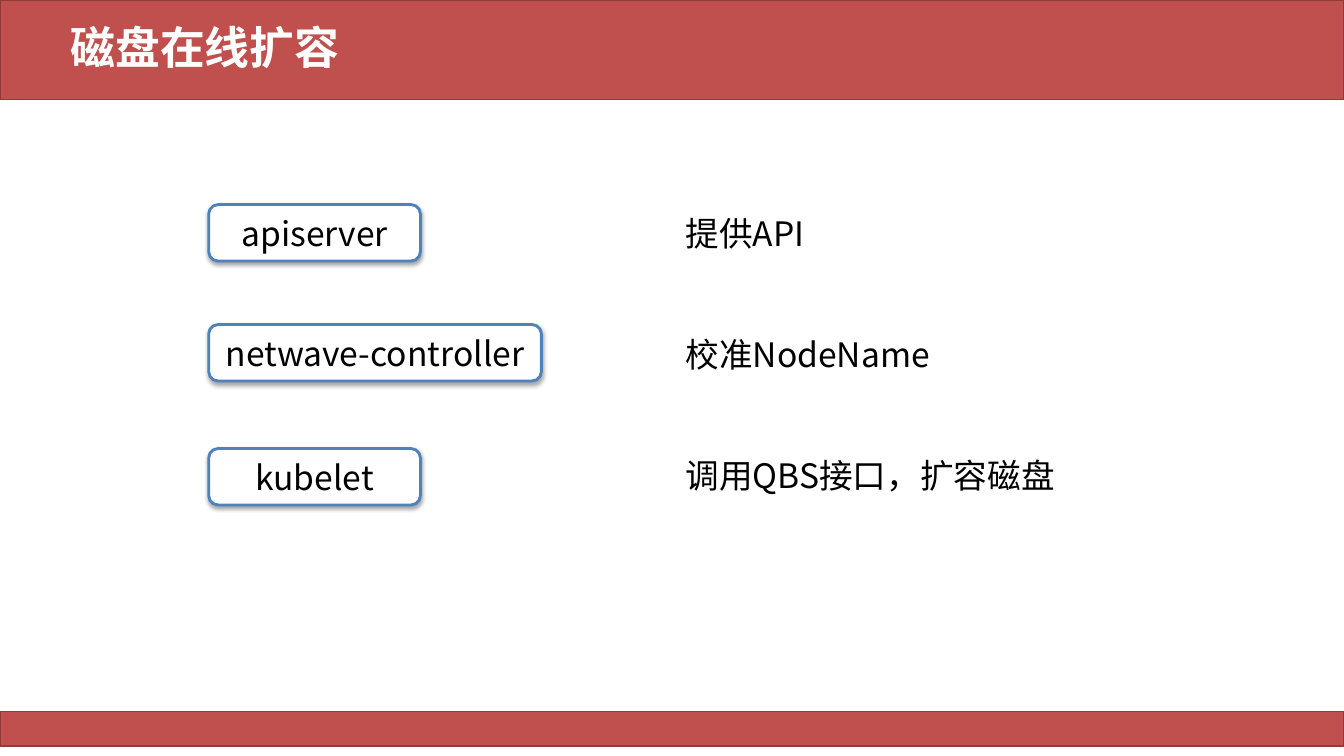
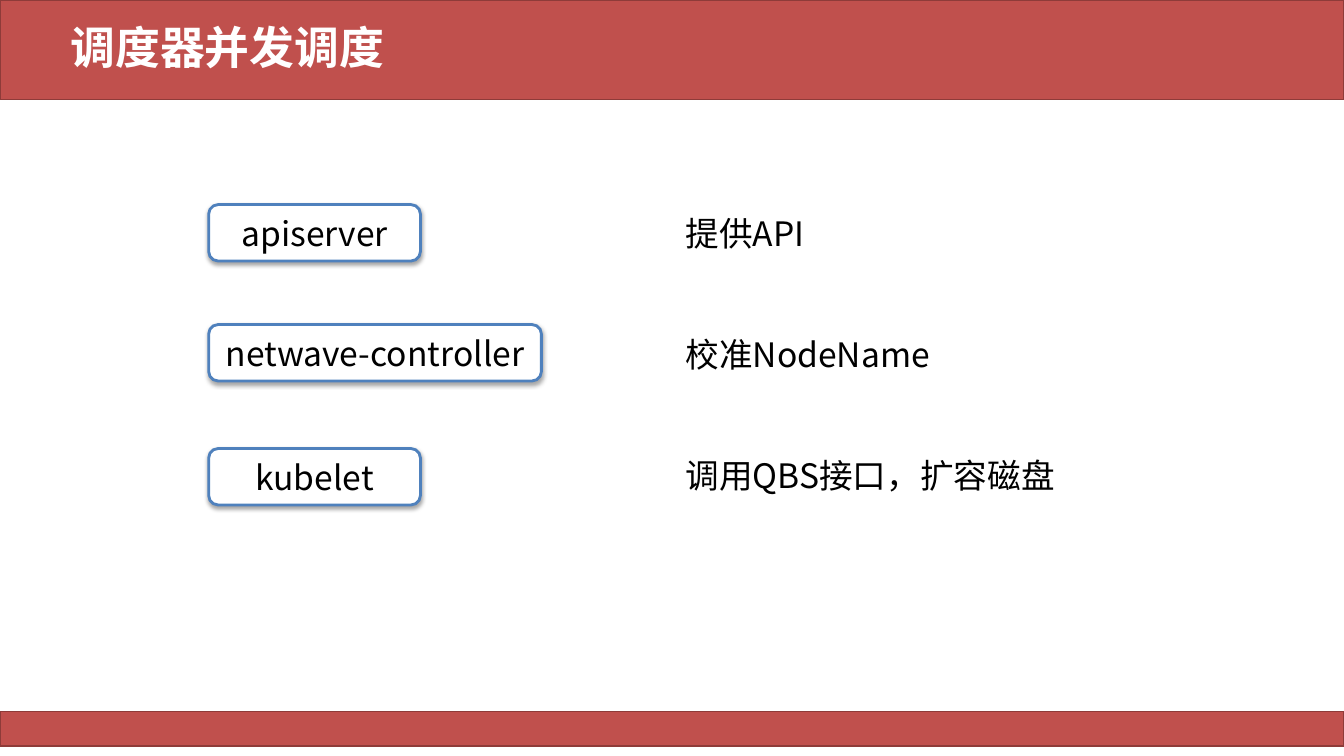
from lxml import etree
from pptx import Presentation
from pptx.dml.color import RGBColor
from pptx.enum import shapes, text
from pptx.oxml import ns
from pptx.util import Inches, Pt

COLORS = {"band": "C0504D", "band_edge": "8E3B39", "box_edge": "4F81BD",
          "white": "FFFFFF", "black": "000000"}
TITLE_FONT, BODY_FONT = "Calibri", "Noto Sans CJK SC"
WIDTH, HEIGHT = 13.33, 7.5
INSET = 0.05

TITLES = ["磁盘在线扩容", "调度器并发调度"]
# component, top, width, duty
COMPONENTS = [
    ("apiserver", 2.03, 2.1, "提供API"),
    ("netwave-controller", 3.22, 3.3, "校准NodeName"),
    ("kubelet", 4.45, 2.1, "调用QBS接口，扩容磁盘"),
]


def rgb(name):
    return RGBColor.from_string(COLORS[name])


class Deck:
    """Holds the shared style and the slide being filled."""

    def __init__(self):
        self.prs = Presentation()
        self.prs.slide_width, self.prs.slide_height = Inches(WIDTH), Inches(HEIGHT)
        self.slide = None

    def new_slide(self, title):
        self.slide = self.prs.slides.add_slide(self.prs.slide_layouts[6])
        for top, height in ((0, 0.99), (7.06, 0.34)):
            self.shape(shapes.MSO_SHAPE.RECTANGLE, (0, top, WIDTH, height),
                       "band", "band_edge", 1)
        self.title(title)

    def shape(self, preset, box, fill, edge, edge_width):
        shape = self.slide.shapes.add_shape(preset, *map(Inches, box))
        shape.shadow.inherit = False
        shape.fill.solid()
        shape.fill.fore_color.rgb = rgb(fill)
        shape.line.color.rgb = rgb(edge)
        shape.line.width = Pt(edge_width)
        return shape

    def text_box(self, box):
        frame = self.slide.shapes.add_textbox(*map(Inches, box)).text_frame
        frame.word_wrap = True
        return frame

    def title(self, words):
        frame = self.text_box((0.6, 0.2, 11.5, 0.59))
        frame.vertical_anchor = text.MSO_ANCHOR.MIDDLE
        paragraph = frame.paragraphs[0]
        paragraph.line_spacing = 0.9
        self.set_text(paragraph, words, TITLE_FONT, 32, "white", bold=True)

    def component(self, name, top, width):
        box = self.shape(shapes.MSO_SHAPE.FLOWCHART_ALTERNATE_PROCESS,
                         (2.07, top, width, 0.56), "white", "box_edge", 2)
        self.soft_shadow(box)
        frame = box.text_frame
        self.set_insets(frame)
        frame.vertical_anchor = text.MSO_ANCHOR.MIDDLE
        paragraph = frame.paragraphs[0]
        paragraph.alignment = text.PP_ALIGN.CENTER
        self.set_text(paragraph, name)

    def duties(self, lines):
        frame = self.text_box((6.75, 2.03, 4.31, 3.84))
        self.set_insets(frame)
        for index, line in enumerate(lines):
            paragraph = frame.add_paragraph() if index else frame.paragraphs[0]
            paragraph.line_spacing = Pt(31)
            paragraph.space_before = Pt(55.4 if index else 0)
            self.set_text(paragraph, line)

    @staticmethod
    def set_text(paragraph, words, font=BODY_FONT, size=24, color="black", bold=False):
        paragraph.text = words
        paragraph.font.name = font
        paragraph.font.size = Pt(size)
        paragraph.font.bold = bold
        paragraph.font.color.rgb = rgb(color)

    @staticmethod
    def set_insets(frame):
        frame.margin_left = frame.margin_right = Inches(INSET)
        frame.margin_top = frame.margin_bottom = Inches(INSET)

    @staticmethod
    def soft_shadow(shape):
        effects = shape.element.spPr.find(ns.qn("a:effectLst"))
        shadow = etree.SubElement(effects, ns.qn("a:outerShdw"), blurRad=str(Pt(3)),
                                  dist=str(Pt(1.8)), dir="5400000", rotWithShape="0")
        color = etree.SubElement(shadow, ns.qn("a:srgbClr"), val=COLORS["black"])
        etree.SubElement(color, ns.qn("a:alpha"), val="35000")


def main():
    deck = Deck()
    for title in TITLES:
        deck.new_slide(title)
        for name, top, width, _ in COMPONENTS:
            deck.component(name, top, width)
        deck.duties([duty for *_, duty in COMPONENTS])
    deck.prs.save("out.pptx")


if __name__ == "__main__":
    main()
